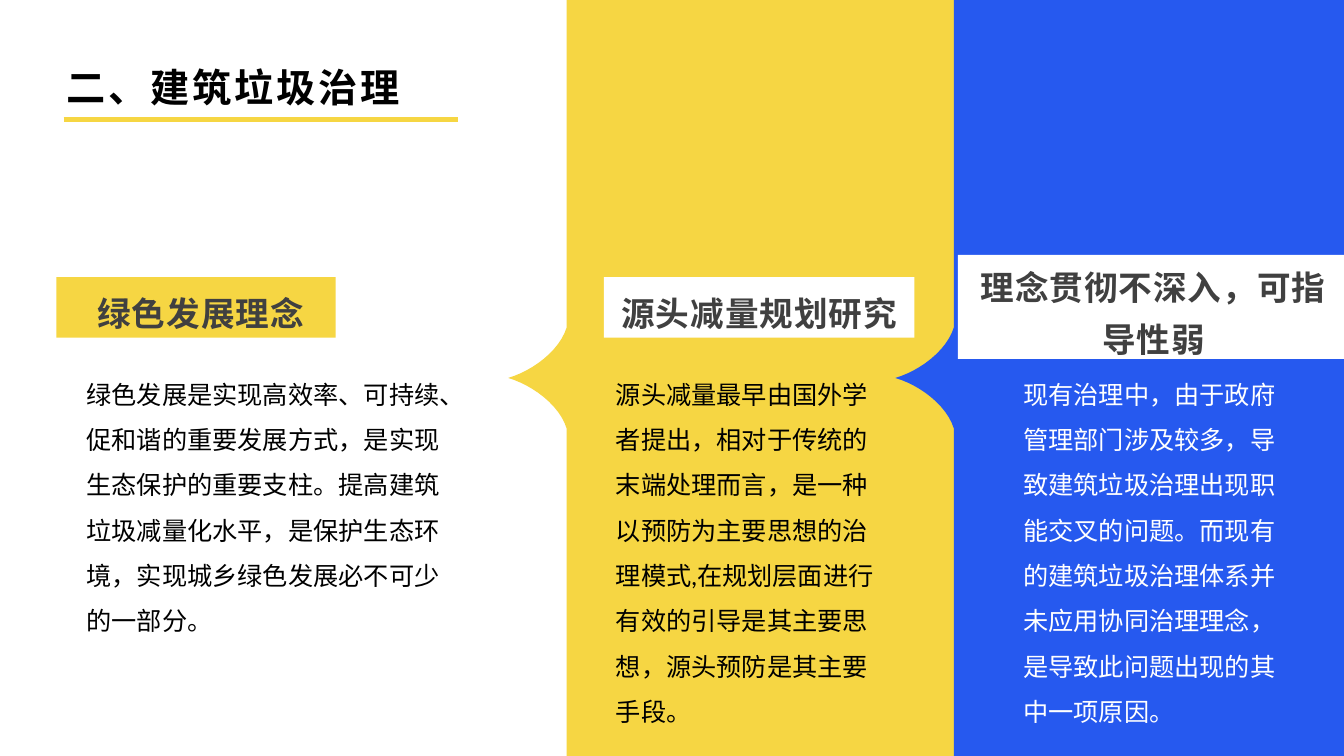
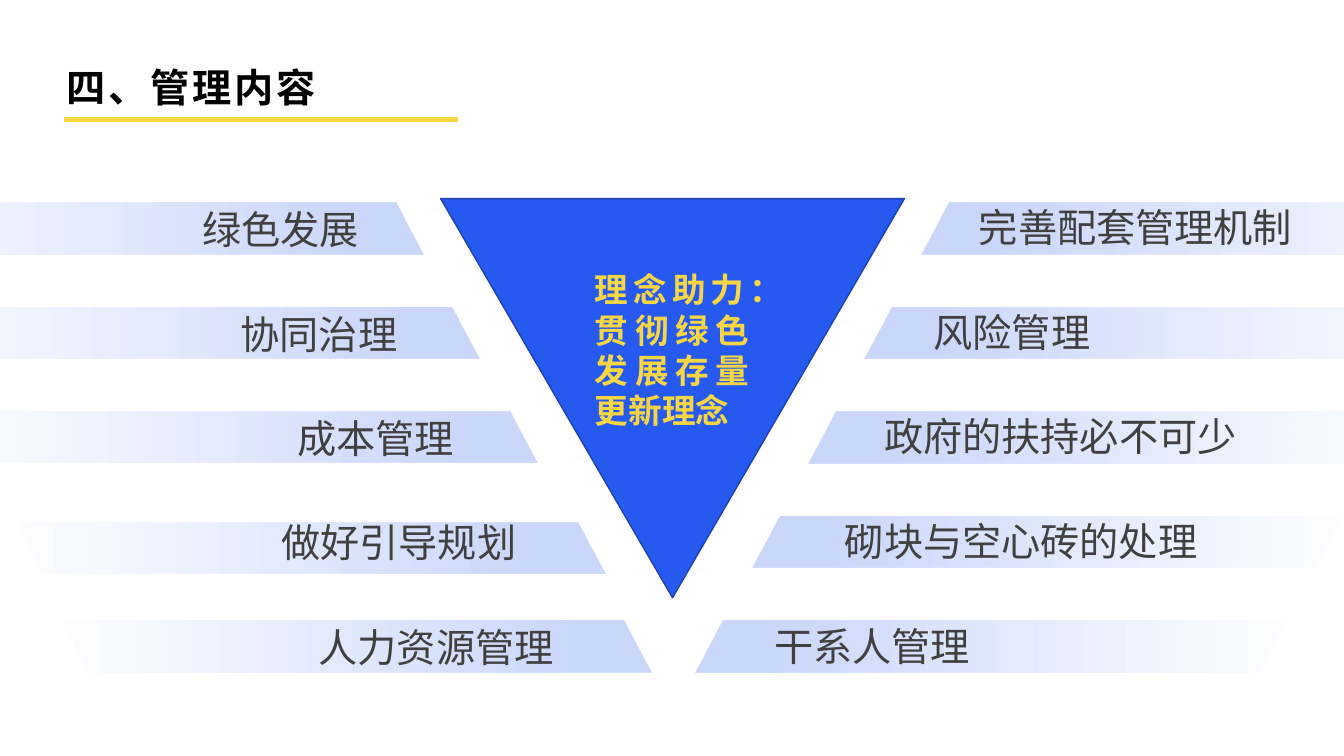
"""Build two slides on construction waste: treatment concepts and management topics."""
from lxml import etree
from pptx import Presentation
from pptx.dml.color import RGBColor
from pptx.enum import shapes, text
from pptx.oxml import ns
from pptx.util import Inches, Pt

YELLOW, BLUE, WHITE, BLACK, GREY = "F6D643", "2659EF", "FFFFFF", "000000", "404040"
FONT = "Lato"
rgb = RGBColor.from_string


def flat(sp, color):
    """Give a shape a plain fill with no line or shadow."""
    sp.shadow.inherit = False
    sp.fill.solid()
    sp.fill.fore_color.rgb = rgb(color)
    sp.line.fill.background()


def write(sp, words, size, color, bold=False, align="LEFT", tracking=0):
    """Write one paragraph into a shape and return it."""
    tf = sp.text_frame
    tf.word_wrap = True
    p = tf.paragraphs[0]
    p.alignment = text.PP_ALIGN[align]
    r = p.add_run()
    r.text = words
    r.font.size = Pt(size)
    r.font.bold = bold
    r.font.name = FONT
    r.font.color.rgb = rgb(color)
    rpr = r._r.get_or_add_rPr()
    rpr.set("lang", "zh-CN")
    rpr.set("spc", str(round(tracking * 100)))
    etree.SubElement(rpr, ns.qn("a:ea")).set("typeface", FONT)
    return p


prs = Presentation()
prs.slide_width, prs.slide_height = Inches(13.33), Inches(7.5)

for words, width in (("二、建筑垃圾治理", 11.5), ("四、管理内容", 6.29)):
    s = prs.slides.add_slide(prs.slide_layouts[5])
    line = s.shapes.add_connector(shapes.MSO_CONNECTOR.STRAIGHT,
                                  Inches(0.63), Inches(1.19), Inches(4.54), Inches(1.19))
    line.line.color.rgb = rgb(YELLOW)
    line.line.width = Pt(3.5)
    etree.SubElement(line._element.spPr, ns.qn("a:effectLst"))
    title = s.shapes.title
    title.left, title.top = Inches(0.56), Inches(0.54)
    title.width, title.height = Inches(width), Inches(0.65)
    title.text_frame.auto_size = text.MSO_AUTO_SIZE.NONE
    title.text_frame.vertical_anchor = text.MSO_ANCHOR.MIDDLE
    write(title, words, 28, BLACK, True, tracking=2)

concepts, topics = prs.slides

steps = [i / 12 for i in range(13)]
curve = []
for t in steps:
    weights = ((1 - t) ** 3, 3 * t * (1 - t) ** 2, 3 * t * t * (1 - t), t ** 3)
    curve.append((sum(w * x for w, x in zip(weights, (0, -0.07, -0.34, -0.58))),
                  sum(w * y for w, y in zip(weights, (0.5, 0.27, 0.07, 0)))))
notch = [(x, 3.75 + y) for x, y in curve] + [(x, 3.75 - y) for x, y in curve[-2::-1]]

for left, right, color in ((5.62, 9.5, YELLOW), (9.46, 13.33, BLUE)):
    outline = [(right, 0), (right, 7.5), (left, 7.5)] + [(left + x, y) for x, y in notch]
    band = concepts.shapes.build_freeform(Inches(left), 0)
    band.add_line_segments([(Inches(x), Inches(y)) for x, y in outline])
    flat(band.convert_to_shape(), color)

bodies = [
    (0.76, 3.72, 2.83, BLACK, "绿色发展是实现高效率、可持续、促和谐的重要发展方式，是实现生态保护的重要支柱。"
     "提高建筑垃圾减量化水平，是保护生态环境，实现城乡绿色发展必不可少的一部分。"),
    (6.01, 2.86, 3.73, BLACK, "源头减量最早由国外学者提出，相对于传统的末端处理而言，是一种以预防为主要思想的治理模式,"
     "在规划层面进行有效的引导是其主要思想，源头预防是其主要手段。"),
    (10.05, 2.79, 3.73, WHITE, "现有治理中，由于政府管理部门涉及较多，导致建筑垃圾治理出现职能交叉的问题。"
     "而现有的建筑垃圾治理体系并未应用协同治理理念，是导致此问题出现的其中一项原因。"),
]
for x, w, h, color, words in bodies:
    sp = concepts.shapes.add_textbox(Inches(x), Inches(3.56), Inches(w), Inches(h))
    sp.text_frame.auto_size = text.MSO_AUTO_SIZE.SHAPE_TO_FIT_TEXT
    write(sp, words, 18, color).line_spacing = 1.5

headings = [
    (0.56, 2.75, 2.77, 0.6, YELLOW, " 绿色发展理念"),
    (5.99, 2.75, 3.08, 0.6, WHITE, "源头减量规划研究"),
    (9.5, 2.53, 3.88, 1.03, WHITE, "理念贯彻不深入，可指导性弱"),
]
for x, y, w, h, color, words in headings:
    sp = concepts.shapes.add_shape(shapes.MSO_SHAPE.RECTANGLE,
                                   Inches(x), Inches(y), Inches(w), Inches(h))
    flat(sp, color)
    sp.text_frame.vertical_anchor = text.MSO_ANCHOR.MIDDLE
    p = write(sp, words, 24, GREY, True, "CENTER", 0.7)
    p.line_spacing = 1.3
    p.space_after = Pt(10)

triangle = topics.shapes.add_shape(shapes.MSO_SHAPE.ISOSCELES_TRIANGLE,
                                   Inches(4.37), Inches(1.97), Inches(4.6), Inches(3.96))
flat(triangle, BLUE)
triangle.rotation = 180
triangle.line.color.rgb = rgb("1C42B1")
triangle.line.width = Pt(1)

left_rows = [
    (-1.65, 2.01, -0.24, 3.93, " 绿色发展"),
    (-1.09, 3.05, 0.66, 3.41, "协同治理"),
    (-0.52, 4.08, 0.7, 3.93, "成本管理"),
    (0.16, 5.18, 1.32, 3.93, " 做好引导规划"),
    (0.61, 6.16, 1.77, 3.85, "人力资源管理"),
]
right_labels = [
    (9.48, 4.67, " 完善配套管理机制"),
    (9.13, 2.24, "风险管理"),
    (8.64, 4.47, "政府的扶持必不可少"),
    (8.25, 4.86, "砌块与空心砖的处理"),
    (7.55, 4.01, "干系人管理"),
]
bars, labels = [], [(5.77, 2.6, 1.79, 2.15, "理念助力：贯彻绿色发展存量更新理念", 24, YELLOW, True, "JUSTIFY")]
for i, (bar_x, bar_y, x, w, words) in enumerate(left_rows):
    bars.append((bar_x, bar_y, True))
    labels.append((x, 1.97 + 1.035 * i, w, 0.6, words, 28, GREY, False, "RIGHT"))
for i, (x, w, words) in enumerate(right_labels):
    bars.append((9.14 - 0.56 * i, 2.01 + 1.0375 * i, False))
    labels.append((x, 1.95 + 1.0375 * i, w, 0.6, words, 28, GREY, False, "LEFT"))

for x, y, mirrored in bars:
    sp = topics.shapes.add_shape(shapes.MSO_SHAPE.PARALLELOGRAM,
                                 Inches(x), Inches(y), Inches(5.85), Inches(0.51))
    flat(sp, BLUE)
    sp.adjustments[0] = 0.54
    sp.fill.gradient()
    sp.fill.gradient_angle = 0
    for stop, position, alpha in zip(sp.fill.gradient_stops, (0.14, 1), (23, 0)):
        stop.position = position
        stop.color.rgb = rgb(BLUE)
    for clr, alpha in zip(sp._element.spPr.iter(ns.qn("a:srgbClr")), (23, 0)):
        etree.SubElement(clr, ns.qn("a:alpha")).set("val", str(alpha * 1000))
    if mirrored:
        sp._element.spPr.find(ns.qn("a:xfrm")).set("flipH", "1")

for x, y, w, h, words, size, color, bold, align in labels:
    sp = topics.shapes.add_textbox(Inches(x), Inches(y), Inches(w), Inches(h))
    tf = sp.text_frame
    tf.auto_size = text.MSO_AUTO_SIZE.SHAPE_TO_FIT_TEXT
    tf.margin_left = tf.margin_right = Inches(0.13)
    tf.margin_top = tf.margin_bottom = Inches(0.07)
    write(sp, words, size, color, bold, align)

prs.save("out.pptx")
